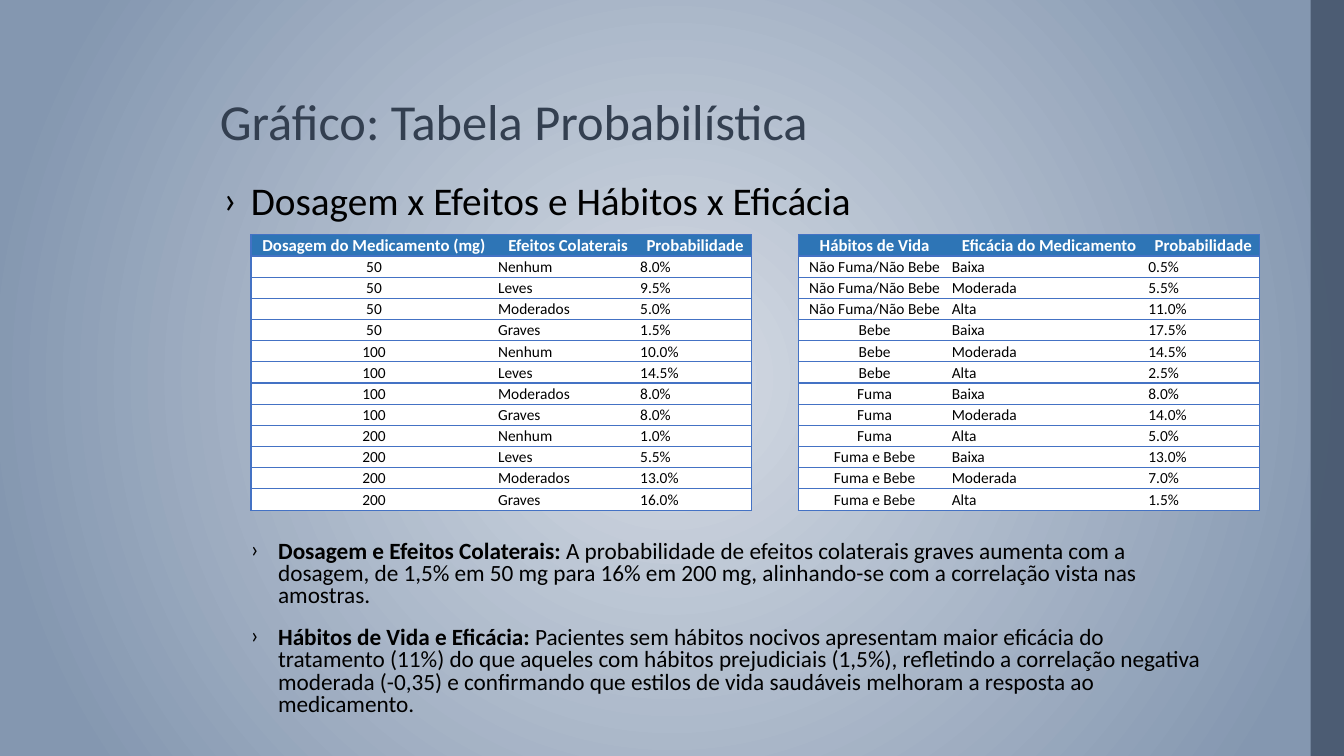
"""Builds the slide with the two probability tables."""
from itertools import product

from pptx import Presentation
from pptx.dml.color import RGBColor
from pptx.enum.shapes import MSO_SHAPE
from pptx.enum.text import MSO_ANCHOR, MSO_AUTO_SIZE, PP_ALIGN
from pptx.oxml import parse_xml
from pptx.oxml.ns import nsdecls, qn
from pptx.util import Inches, Pt

FONT = "Calibri"
BLACK = RGBColor(0x00, 0x00, 0x00)
WHITE = RGBColor(0xFF, 0xFF, 0xFF)
SLATE = RGBColor(0x33, 0x3F, 0x50)
BAR = RGBColor(0x44, 0x54, 0x6A)
HEADER = RGBColor(0x2E, 0x75, 0xB6)
BORDER = RGBColor(0x44, 0x72, 0xC4)
GLOW = RGBColor(0xD6, 0xDC, 0xE5)
EDGE = RGBColor(0x84, 0x97, 0xB0)
NO_GRID_STYLE = "{2D5ABB26-0587-4C30-8999-92F81FD0307C}"
ROW_HEIGHTS = [0.21] * 12 + [0.22]

DOSAGE_HEADERS = ["Dosagem do Medicamento (mg)", "Efeitos Colaterais", "Probabilidade"]
DOSAGES = ["50", "100", "200"]
EFFECTS = ["Nenhum", "Leves", "Moderados", "Graves"]
DOSAGE_ODDS = [8.0, 9.5, 5.0, 1.5, 10.0, 14.5, 8.0, 8.0, 1.0, 5.5, 13.0, 16.0]

HABIT_HEADERS = ["Hábitos de Vida", "Eficácia do Medicamento", "Probabilidade"]
HABITS = ["Não Fuma/Não Bebe", "Bebe", "Fuma", "Fuma e Bebe"]
EFFICACIES = ["Baixa", "Moderada", "Alta"]
HABIT_ODDS = [0.5, 5.5, 11.0, 17.5, 14.5, 2.5, 8.0, 14.0, 5.0, 13.0, 7.0, 1.5]

FINDINGS = [
    [("Dosagem e Efeitos Colaterais: ", True),
     ("A probabilidade de efeitos colaterais graves aumenta com a dosagem, de 1,5% em 50 mg "
      "para 16% em 200 mg, alinhando-se com a correlação vista nas amostras.", False)],
    [("Hábitos de Vida e Eficácia: ", True),
     ("Pacientes sem hábitos nocivos apresentam maior eficácia do tratamento (11%) do que "
      "aqueles com hábitos prejudiciais (1,5%), refletindo a correlação negativa moderada "
      "(-0,35) e confirmando que estilos de vida saudáveis melhoram a resposta ao "
      "medicamento.", False)],
]


class SlideBuilder:
    def __init__(self, slide, font):
        self.slide = slide
        self.font = font

    def background(self, center, edge):
        self.slide.background.fill.solid()
        properties = self.slide.element.find(".//" + qn("p:bgPr"))
        gradient = parse_xml(
            f'<a:gradFill {nsdecls("a")} rotWithShape="1"><a:gsLst>'
            f'<a:gs pos="0"><a:srgbClr val="{center}"/></a:gs>'
            f'<a:gs pos="90000"><a:srgbClr val="{edge}"/></a:gs></a:gsLst>'
            '<a:path path="circle"><a:fillToRect l="50000" t="50000" r="50000" b="50000"/>'
            '</a:path></a:gradFill>')
        properties.replace(properties.find(qn("a:solidFill")), gradient)

    def bar(self, left, top, width, height, color, opacity):
        shape = self.slide.shapes.add_shape(
            MSO_SHAPE.RECTANGLE, Inches(left), Inches(top), Inches(width), Inches(height))
        shape.shadow.inherit = False
        shape.fill.solid()
        shape.fill.fore_color.rgb = color
        shape.line.fill.background()
        fill_color = shape.element.spPr.find(".//" + qn("a:srgbClr"))
        fill_color.append(parse_xml(f'<a:alpha {nsdecls("a")} val="{opacity * 1000}"/>'))

    def run(self, paragraph, text, size, color, bold=False):
        run = paragraph.add_run()
        run.text = text
        run.font.name = self.font
        run.font.size = Pt(size)
        run.font.color.rgb = color
        run.font.bold = bold

    def title(self, left, top, width, height, text, size, color):
        shape = self.slide.shapes.title
        shape.left, shape.top = Inches(left), Inches(top)
        shape.width, shape.height = Inches(width), Inches(height)
        frame = shape.text_frame
        frame.auto_size = MSO_AUTO_SIZE.NONE
        frame.vertical_anchor = MSO_ANCHOR.BOTTOM
        paragraph = frame.paragraphs[0]
        paragraph.alignment = PP_ALIGN.LEFT
        paragraph.line_spacing = 0.9
        self.run(paragraph, text, size, color)

    def bullets(self, left, top, width, height, items, size, line_spacing):
        frame = self.slide.shapes.add_textbox(
            Inches(left), Inches(top), Inches(width), Inches(height)).text_frame
        frame.word_wrap = True
        for index, item in enumerate(items):
            paragraph = frame.add_paragraph() if index else frame.paragraphs[0]
            paragraph.line_spacing = line_spacing
            paragraph.space_before = Pt(14)
            properties = paragraph._p.get_or_add_pPr()
            properties.set("marL", str(Inches(0.27)))
            properties.set("indent", str(Inches(-0.27)))
            properties.append(parse_xml(f'<a:buFont {nsdecls("a")} typeface="{self.font}"/>'))
            properties.append(parse_xml(f'<a:buChar {nsdecls("a")} char="›"/>'))
            for text, bold in item:
                self.run(paragraph, text, size, BLACK, bold)

    def borders(self, cell, sides):
        properties = cell._tc.get_or_add_tcPr()
        for index, side in enumerate(sides):
            properties.insert(index, parse_xml(
                f'<a:ln{side} {nsdecls("a")} w="{Pt(1)}"><a:solidFill>'
                f'<a:srgbClr val="{BORDER}"/></a:solidFill></a:ln{side}>'))

    def table(self, left, top, widths, rows):
        table = self.slide.shapes.add_table(
            len(rows), len(widths), Inches(left), Inches(top),
            Inches(sum(widths)), Inches(sum(ROW_HEIGHTS))).table
        table.horz_banding = False
        table._tbl.tblPr.find(qn("a:tableStyleId")).text = NO_GRID_STYLE
        for column, width in zip(table.columns, widths):
            column.width = Inches(width)
        for row, height in zip(table.rows, ROW_HEIGHTS):
            row.height = Inches(height)
        side_lines = ["LTB"] + ["TB"] * (len(widths) - 2) + ["RTB"]
        for row_index, values in enumerate(rows):
            is_header = row_index == 0
            for column_index, value in enumerate(values):
                cell = table.cell(row_index, column_index)
                cell.fill.solid()
                cell.fill.fore_color.rgb = HEADER if is_header else WHITE
                cell.vertical_anchor = MSO_ANCHOR.MIDDLE
                cell.margin_left = cell.margin_top = cell.margin_right = Inches(0.01)
                cell.margin_bottom = 0
                paragraph = cell.text_frame.paragraphs[0]
                centered = is_header or column_index == 0
                paragraph.alignment = PP_ALIGN.CENTER if centered else PP_ALIGN.LEFT
                self.run(paragraph, value, 12 if is_header else 11,
                         WHITE if is_header else BLACK, is_header)
                self.borders(cell, side_lines[column_index])


def table_rows(headers, groups, outcomes, odds):
    pairs = product(groups, outcomes)
    return [headers] + [[*pair, f"{chance:.1f}%"] for pair, chance in zip(pairs, odds)]


def main():
    presentation = Presentation()
    presentation.slide_width, presentation.slide_height = Inches(13.33), Inches(7.5)
    slide = presentation.slides.add_slide(presentation.slide_layouts[5])
    builder = SlideBuilder(slide, FONT)
    builder.background(GLOW, EDGE)
    builder.bar(13, 0, 0.33, 7.5, BAR, 87)
    builder.title(2.08, 0.19, 10.36, 1.36, "Gráfico: Tabela Probabilística", 36, SLATE)
    builder.bullets(2.12, 1.75, 10.69, 0.58,
                    [[("Dosagem x Efeitos e Hábitos x Eficácia", False)]], 28, 0.9)
    builder.table(2.49, 2.33, [2.44, 1.41, 1.11],
                  table_rows(DOSAGE_HEADERS, DOSAGES, EFFECTS, DOSAGE_ODDS))
    builder.table(7.92, 2.33, [1.51, 1.95, 1.11],
                  table_rows(HABIT_HEADERS, HABITS, EFFICACIES, HABIT_ODDS))
    builder.bullets(2.39, 5.32, 9.75, 1.91, FINDINGS, 16.6, 0.8)
    presentation.save("out.pptx")


if __name__ == "__main__":
    main()
